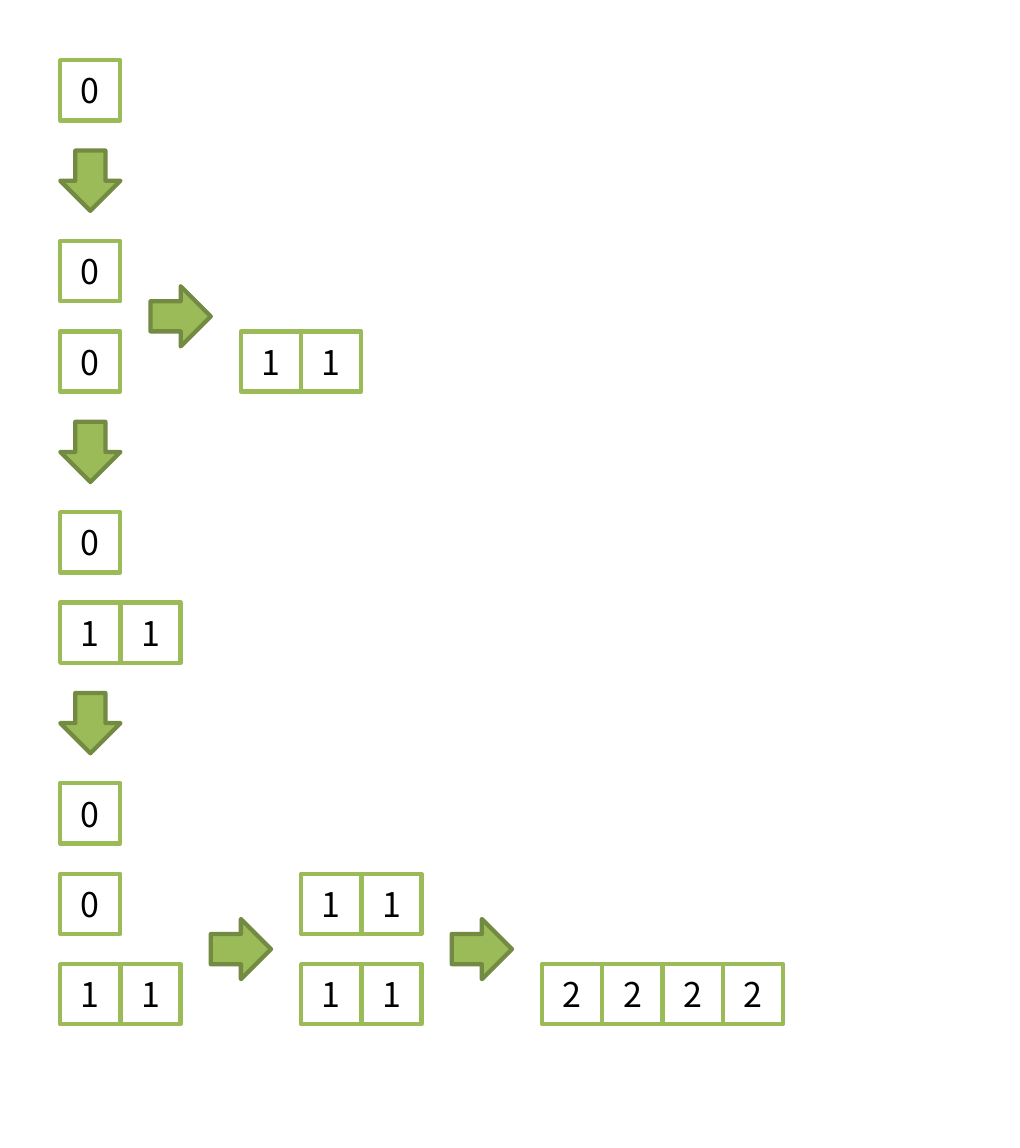
from pptx import Presentation
from pptx.dml.color import RGBColor
from pptx.enum.shapes import MSO_SHAPE
from pptx.enum.text import MSO_ANCHOR, PP_ALIGN
from pptx.util import Inches, Pt

WHITE = RGBColor(0xFF, 0xFF, 0xFF)
BLACK = RGBColor(0x00, 0x00, 0x00)
GREEN = RGBColor(0x9B, 0xBB, 0x59)
DARK_GREEN = RGBColor(0x73, 0x8A, 0x42)
FONT = "Noto Sans CJK JP"
HALF_CELL = 0.5 / 2.54
CELL = 2
ROW_PITCH = 3
MARGIN = 2


class Diagram:
    """Draws number cells and arrows on a grid of half cells."""

    def __init__(self, slide):
        self.slide = slide

    def square(self, shapes, preset, column, row, fill, line):
        left = Inches(column * HALF_CELL)
        top = Inches((MARGIN + row * ROW_PITCH) * HALF_CELL)
        side = Inches(CELL * HALF_CELL)
        square = shapes.add_shape(preset, left, top, side, side)
        square.shadow.inherit = False
        square.fill.solid()
        square.fill.fore_color.rgb = fill
        square.line.color.rgb = line
        square.line.width = Pt(2)
        return square

    def cell(self, shapes, digit, column, row):
        frame = self.square(shapes, MSO_SHAPE.RECTANGLE, column, row, WHITE, GREEN).text_frame
        frame.margin_left = frame.margin_right = 0
        frame.vertical_anchor = MSO_ANCHOR.MIDDLE
        frame.text = digit
        paragraph = frame.paragraphs[0]
        paragraph.alignment = PP_ALIGN.CENTER
        font = paragraph.runs[0].font
        font.name = FONT
        font.size = Pt(16)
        font.color.rgb = BLACK

    def cells(self, digits, column, row):
        shapes = self.slide.shapes
        if len(digits) > 1:
            shapes = shapes.add_group_shape().shapes
        for index, digit in enumerate(digits):
            self.cell(shapes, digit, column + index * CELL, row)

    def arrow(self, column, row, rotation=0):
        arrow = self.square(self.slide.shapes, MSO_SHAPE.RIGHT_ARROW, column, row, GREEN, DARK_GREEN)
        arrow.rotation = rotation


presentation = Presentation()
presentation.slide_width = Inches(20 / 3)
presentation.slide_height = Inches(7.5)
diagram = Diagram(presentation.slides.add_slide(presentation.slide_layouts[6]))

for step_row in (1, 4, 7):
    diagram.arrow(MARGIN, step_row, rotation=90)

for merge_column, merge_row in ((5, 2.5), (7, 9.5), (15, 9.5)):
    diagram.arrow(merge_column, merge_row)

for digits, column, row in (
    ("0", 2, 0),
    ("0", 2, 2),
    ("0", 2, 3),
    ("11", 8, 3),
    ("0", 2, 5),
    ("11", 2, 6),
    ("0", 2, 8),
    ("0", 2, 9),
    ("11", 2, 10),
    ("11", 10, 9),
    ("11", 10, 10),
    ("22", 18, 10),
    ("22", 22, 10),
):
    diagram.cells(digits, column, row)

presentation.save("out.pptx")
